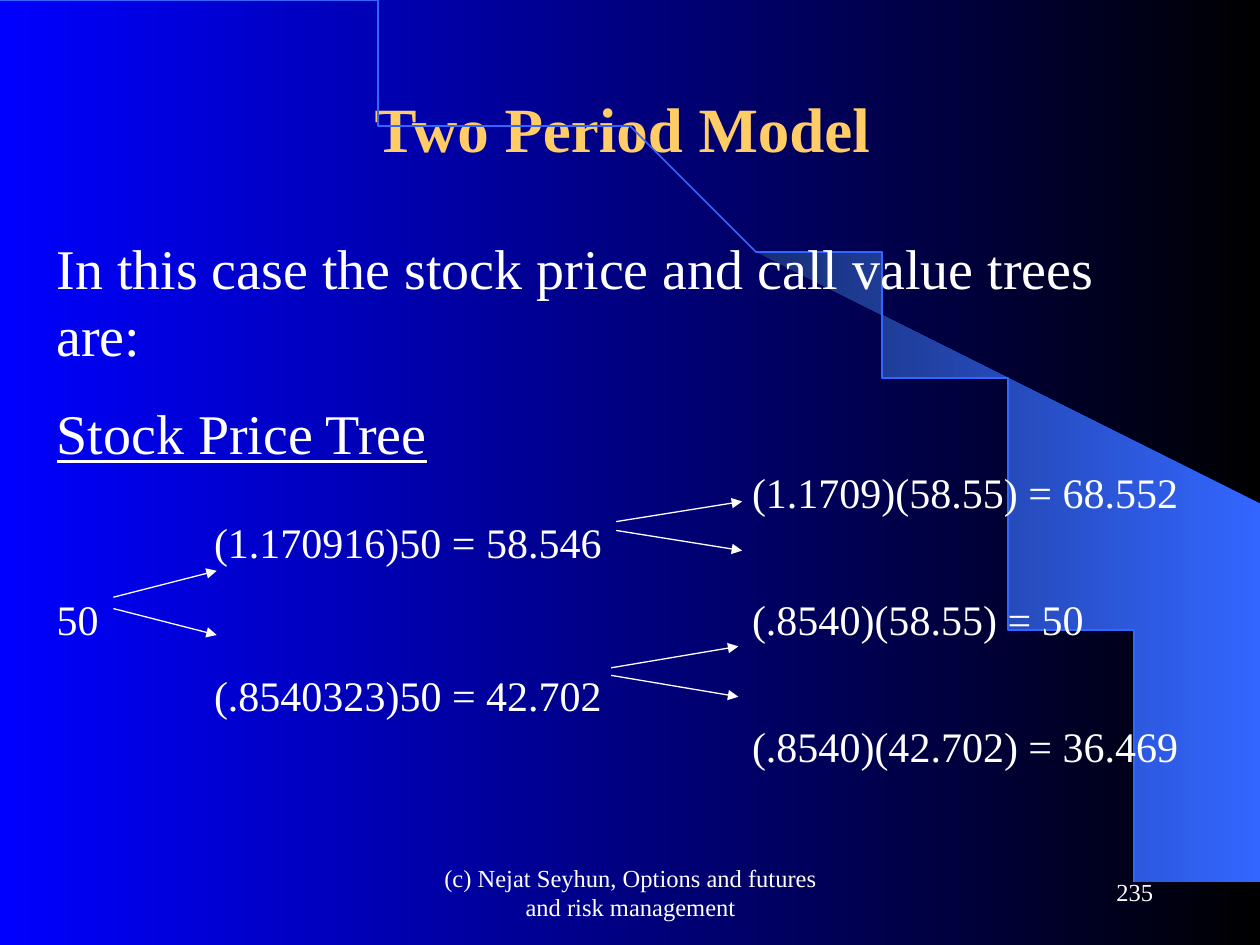
from math import asin, cos, pi, sin

from lxml.etree import SubElement
from pptx import Presentation
from pptx.dml.color import RGBColor
from pptx.enum.shapes import MSO_CONNECTOR as Connector
from pptx.enum.text import MSO_ANCHOR as Anchor, PP_ALIGN as Align
from pptx.oxml.ns import qn
from pptx.util import Inches, Pt

FONT = "Times New Roman"
WHITE = "FFFFFF"
ARC_BLUE = "3366FF"
ARC_WIDTH, ARC_HEIGHT = 9.2, 7.49
TAB_STOPS = (1.25, 5.52)

BODY = [
    ("In this case the stock price and call value trees are:", {"size": Pt(32)}, {}),
    ("Stock Price Tree", {"size": Pt(32), "underline": True}, {"space_before": Pt(18)}),
    ("\t\t(1.1709)(58.55) = 68.552", {}, {}),
    ("\t(1.170916)50 = 58.546", {}, {}),
    ("50\t\t(.8540)(58.55) = 50", {}, {"space_before": Pt(15), "space_after": Pt(15)}),
    ("\t(.8540323)50 = 42.702", {}, {}),
    ("\t\t(.8540)(42.702) = 36.469", {}, {}),
]

BRANCHES = [
    (0.9, 1.72, 4.785, 0.045, 0.255),
    (4.89, 5.89, 4.175, 0.035, 0.195),
    (4.85, 5.86, 5.33, 0.03, 0.2),
]


def color(hex_code):
    return RGBColor.from_string(hex_code)


def apply_format(target, values):
    for name, value in values.items():
        setattr(target, name, value)


def set_gradient(fill, start, end):
    fill.gradient()
    fill.gradient_angle = 0
    for stop, position, hex_code in zip(fill.gradient_stops, (0, 1), (start, end)):
        stop.position = position
        stop.color.rgb = color(hex_code)


def arc_points(start_angle, steps):
    angles = [start_angle + (pi / 2 - start_angle) * i / steps for i in range(steps + 1)]
    return [(ARC_WIDTH * sin(a), ARC_HEIGHT * (1 - cos(a))) for a in angles]


def add_outline(slide, points, close):
    builder = slide.shapes.build_freeform(*points[0], scale=Inches(1))
    builder.add_line_segments(points[1:], close=close)
    outline = builder.convert_to_shape()
    outline.shadow.inherit = False
    return outline


def add_backdrop(slide):
    set_gradient(slide.background.fill, "0000FF", "000000")
    wedge_points = arc_points(asin(5.89 / ARC_WIDTH), 24) + [(9.99, 7.49), (9.99, 4.23)]
    wedge = add_outline(slide, wedge_points, True)
    set_gradient(wedge.fill, "182F76", ARC_BLUE)
    wedge.line.fill.background()
    arc = add_outline(slide, arc_points(0, 90), False)
    arc.fill.background()
    arc.line.color.rgb = color(ARC_BLUE)
    arc.line.width = Pt(1)


def write_paragraph(paragraph, text, font, layout, hex_code=WHITE):
    paragraph.text = text
    apply_format(paragraph, layout)
    apply_format(paragraph.font, {"name": FONT, **font})
    paragraph.font.color.rgb = color(hex_code)


def add_title(slide):
    title = slide.shapes.title
    apply_format(title, {"left": Inches(0.35), "top": Inches(0.66),
                         "width": Inches(9.18), "height": Inches(0.7)})
    title.text_frame.vertical_anchor = Anchor.TOP
    write_paragraph(title.text_frame.paragraphs[0], "Two Period Model",
                    {"size": Pt(36), "bold": True}, {"alignment": Align.CENTER}, "FFCC66")


def add_text_frame(slide, left, top, width, height, anchor):
    box = slide.shapes.add_textbox(Inches(left), Inches(top), Inches(width), Inches(height))
    apply_format(box.text_frame, {"word_wrap": True, "vertical_anchor": anchor})
    return box.text_frame


def add_tab_stops(paragraph):
    tab_list = SubElement(paragraph._p.get_or_add_pPr(), qn("a:tabLst"))
    for position in TAB_STOPS:
        SubElement(tab_list, qn("a:tab"), pos=str(Inches(position)), algn="l")


def add_body(slide):
    frame = add_text_frame(slide, 0.35, 1.8, 9.18, 4.31, Anchor.TOP)
    for index, (text, font, layout) in enumerate(BODY):
        paragraph = frame.add_paragraph() if index else frame.paragraphs[0]
        add_tab_stops(paragraph)
        write_paragraph(paragraph, text, {"size": Pt(24), **font}, layout)


def add_footer(slide, text, left, width, alignment):
    frame = add_text_frame(slide, left, 6.83, width, 0.5, Anchor.MIDDLE)
    write_paragraph(frame.paragraphs[0], text, {"size": Pt(14)}, {"alignment": alignment})


def add_arrow(slide, *ends):
    arrow = slide.shapes.add_connector(Connector.STRAIGHT, *map(Inches, ends))
    arrow.line.color.rgb = color(WHITE)
    arrow.line.width = Pt(0.75)
    SubElement(arrow.line._get_or_add_ln(), qn("a:tailEnd"), type="triangle")
    SubElement(arrow._element.spPr, qn("a:effectLst"))


def add_branch(slide, start, end, middle, near, far):
    for side in (-1, 1):
        add_arrow(slide, start, middle + side * near, end, middle + side * far)


def main():
    deck = Presentation()
    apply_format(deck, {"slide_width": Inches(10), "slide_height": Inches(7.5)})
    slide = deck.slides.add_slide(deck.slide_layouts[5])
    add_backdrop(slide)
    add_title(slide)
    add_footer(slide, "(c) Nejat Seyhun, Options and futures and risk management",
               3.42, 3.17, Align.CENTER)
    add_footer(slide, "235", 7.17, 2.08, Align.RIGHT)
    add_body(slide)
    for branch in BRANCHES:
        add_branch(slide, *branch)
    deck.save("out.pptx")


if __name__ == "__main__":
    main()
